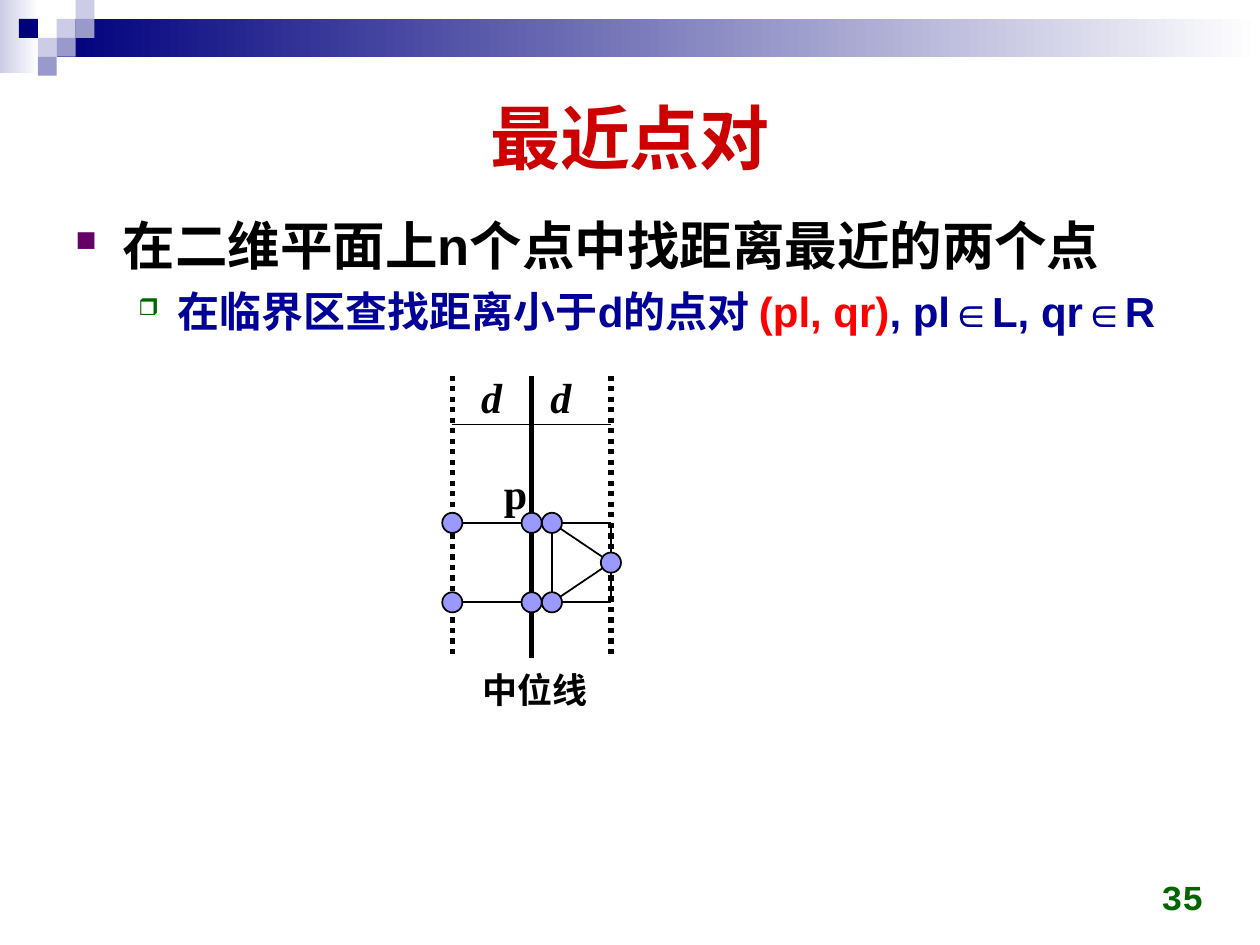
from lxml.etree import SubElement
from pptx import Presentation
from pptx.dml.color import RGBColor
from pptx.enum.dml import MSO_LINE
from pptx.enum.shapes import MSO_CONNECTOR, MSO_SHAPE
from pptx.enum.text import MSO_ANCHOR, PP_ALIGN
from pptx.oxml.ns import qn
from pptx.util import Pt

COLORS = {
    "navy": "00007D", "pale": "CCCCE6", "lilac": "9999CC", "white": "FFFFFF",
    "title": "CC0000", "black": "000000", "blue": "000099", "red": "FF0000",
    "purple": "660066", "green": "006600", "dot": "9999FF",
}
CELL = 10.8
SQUARES = [(3, 1, "pale"), (4, 0, "pale"), (4, 1, "lilac"), (2, 2, "pale"),
           (1, 1, "navy"), (3, 2, "lilac"), (2, 3, "lilac")]

LEFT, MIDDLE, RIGHT = 258.5, 303.8, 349.1
NEAR = 315.4
UPPER, LOWER = 298.8, 344.2
CENTER = (UPPER + LOWER) / 2
STRIP_TOP, STRIP_BOTTOM, WIDTH_MARK = 214.6, 375.8, 242.6
DOT_SIZE = 11.5


def color(name):
    return RGBColor.from_string(COLORS[name])


def add_block(slide, kind, left, top, width, height, fill, outline=None):
    """Add a preset shape; a pair of colours as fill makes a gradient."""
    shape = slide.shapes.add_shape(kind, Pt(left), Pt(top), Pt(width), Pt(height))
    shape.shadow.inherit = False
    if isinstance(fill, tuple):
        shape.fill.gradient()
        shape.fill.gradient_angle = 0
        for stop, name in zip(shape.fill.gradient_stops, fill):
            stop.color.rgb = color(name)
    else:
        shape.fill.solid()
        shape.fill.fore_color.rgb = color(fill)
    if outline:
        shape.line.color.rgb = color(outline)
        shape.line.width = Pt(1)
    else:
        shape.line.fill.background()


def add_line(slide, start, end, width=1, dash=None):
    line = slide.shapes.add_connector(
        MSO_CONNECTOR.STRAIGHT, *(Pt(value) for value in (*start, *end)))
    line.line.color.rgb = color("black")
    line.line.width = Pt(width)
    if dash:
        line.line.dash_style = dash
    SubElement(line._element.spPr, qn("a:effectLst"))


def add_run(paragraph, text, size, fill="black", font="Arial", italic=False):
    run = paragraph.add_run()
    run.text = text
    run.font.size = Pt(size)
    run.font.name = font
    run.font.bold = True
    run.font.italic = italic
    run.font.color.rgb = color(fill)


def add_frame(slide, left, top, width, height, anchor=MSO_ANCHOR.TOP, wrap=True):
    frame = slide.shapes.add_textbox(
        Pt(left), Pt(top), Pt(width), Pt(height)).text_frame
    frame.word_wrap = wrap
    frame.vertical_anchor = anchor
    return frame


def add_text(slide, text, left, top, width, height, align=PP_ALIGN.LEFT,
             anchor=MSO_ANCHOR.TOP, wrap=False, **run_format):
    frame = add_frame(slide, left, top, width, height, anchor, wrap)
    paragraph = frame.paragraphs[0]
    paragraph.alignment = align
    add_run(paragraph, text, **run_format)


def format_bullet(paragraph, character, fill, margin, hanging, size):
    paragraph.line_spacing = 1.05
    paragraph.space_before = Pt(0.15 * size)
    properties = paragraph._p.get_or_add_pPr()
    properties.set("marL", str(Pt(margin)))
    properties.set("indent", str(Pt(-hanging)))
    bullet_color = SubElement(properties, qn("a:buClr"))
    SubElement(bullet_color, qn("a:srgbClr"), val=COLORS[fill])
    SubElement(properties, qn("a:buSzPct"), val="55000")
    SubElement(properties, qn("a:buChar"), char=character)


def add_banner(slide):
    rectangle = MSO_SHAPE.RECTANGLE
    add_block(slide, rectangle, 0, 0, 22.3, 41.8, ("pale", "white"))
    add_block(slide, rectangle, 3 * CELL, CELL, 720 - 3 * CELL, 2 * CELL,
              ("navy", "white"))
    for column, row, fill in SQUARES:
        add_block(slide, rectangle, column * CELL, row * CELL, CELL, CELL, fill)


def add_body(slide):
    frame = add_frame(slide, 36, 116.6, 648, 374.4)
    problem = frame.paragraphs[0]
    format_bullet(problem, "■", "purple", 27, 27, 30)
    add_run(problem, "在二维平面上n个点中找距离最近的两个点", 30)

    search = frame.add_paragraph()
    search.level = 1
    format_bullet(search, "❒", "green", 58.5, 22.5, 24)
    for text, fill in [("在临界区查找距离小于d的点对 ", "blue"),
                       ("(pl, qr)", "red"), (", pl∈L, qr∈R", "blue")]:
        add_run(search, text, 24, fill)


def add_strip(slide):
    """Draw the critical strip around the median line, with its labels."""
    for x, dash in [(LEFT, MSO_LINE.ROUND_DOT), (MIDDLE, None),
                    (RIGHT, MSO_LINE.ROUND_DOT)]:
        add_line(slide, (x, STRIP_TOP), (x, STRIP_BOTTOM), 3, dash)
    add_line(slide, (LEFT, WIDTH_MARK), (RIGHT, WIDTH_MARK))
    for text, left, top, italic in [("p", 280.8, 263.5, False),
                                    ("d", 267.8, 208.8, True),
                                    ("d", 307.4, 208.8, True)]:
        add_text(slide, text, left, top, 27, 36.7, size=24,
                 font="Times New Roman", italic=italic)
    add_text(slide, "中位线", 268.6, 378.7, 75.6, 31.7, size=20)


def add_points(slide):
    """Draw the candidate points and the segments between them."""
    tip = (RIGHT, CENTER)
    for y in (UPPER, LOWER):
        add_line(slide, (LEFT, y), (MIDDLE, y))
        add_line(slide, (MIDDLE, y), (RIGHT, y))
        add_line(slide, (NEAR, y), tip)
    for x in (NEAR, RIGHT):
        add_line(slide, (x, UPPER), (x, LOWER))
    corners = [(x, y) for x in (LEFT, MIDDLE, NEAR) for y in (UPPER, LOWER)]
    for x, y in corners + [tip]:
        add_block(slide, MSO_SHAPE.OVAL, x - DOT_SIZE / 2, y - DOT_SIZE / 2,
                  DOT_SIZE, DOT_SIZE, "dot", "black")


def main():
    presentation = Presentation()
    presentation.slide_width = Pt(720)
    presentation.slide_height = Pt(540)
    slide = presentation.slides.add_slide(presentation.slide_layouts[6])
    add_banner(slide)
    add_text(slide, "最近点对", 36, 36, 648, 83.5, PP_ALIGN.CENTER,
             MSO_ANCHOR.MIDDLE, True, size=40, fill="title")
    add_body(slide)
    add_text(slide, "35", 527, 491.8, 167.8, 36, PP_ALIGN.RIGHT,
             MSO_ANCHOR.BOTTOM, True, size=20, fill="green", font="Courier New")
    add_strip(slide)
    add_points(slide)
    presentation.save("out.pptx")


if __name__ == "__main__":
    main()
